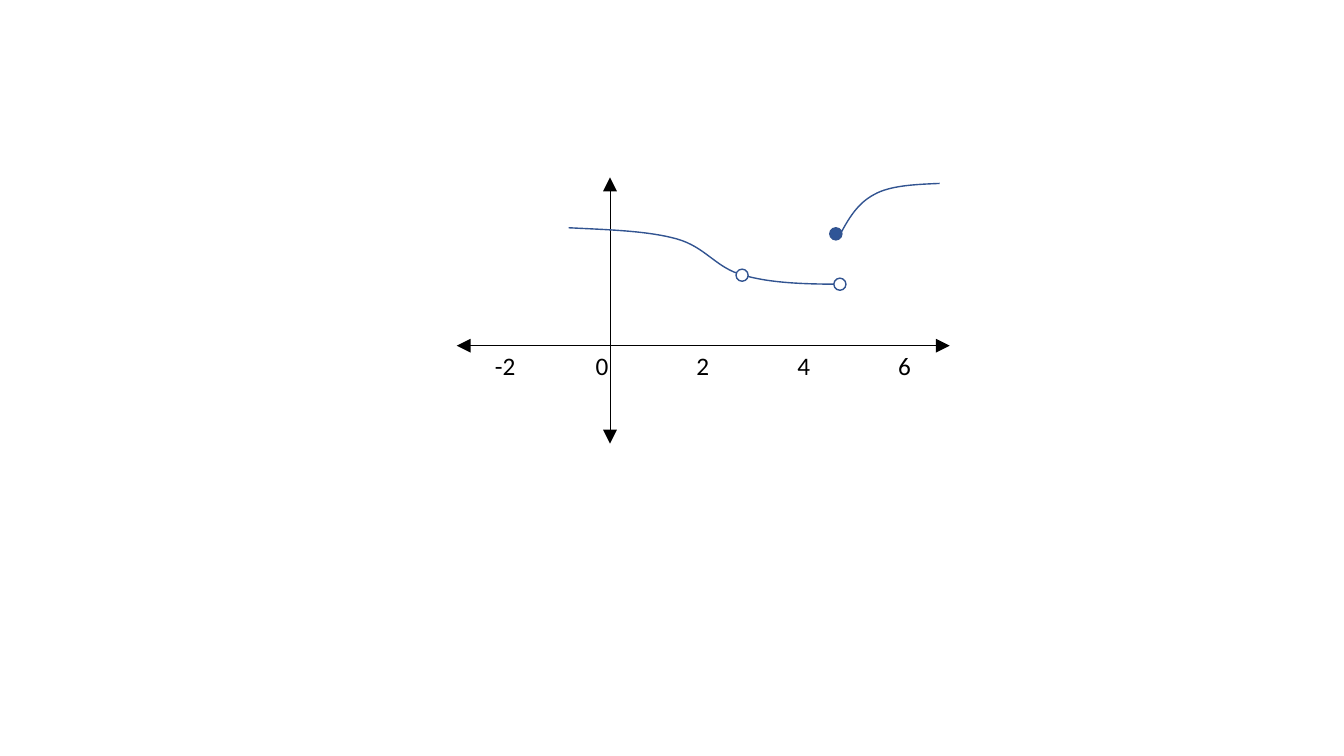
from lxml import etree
from pptx import Presentation
from pptx.dml.color import RGBColor
from pptx.enum.shapes import MSO_CONNECTOR, MSO_SHAPE
from pptx.enum.text import MSO_AUTO_SIZE
from pptx.oxml.ns import qn
from pptx.util import Inches, Pt

STRAIGHT = MSO_CONNECTOR.STRAIGHT
OVAL = MSO_SHAPE.OVAL
FIT_SHAPE = MSO_AUTO_SIZE.SHAPE_TO_FIT_TEXT
BLANK_LAYOUT = 6
DOT_SIZE = 0.12
BLACK, WHITE = "000000", "FFFFFF"
CURVE_BLUE, DOT_BLUE = "325491", "2F5597"


def color(hex_value):
    return RGBColor.from_string(hex_value)


def set_line(line, hex_value, width):
    line.color.rgb = color(hex_value)
    line.width = Pt(width)


def add_axis(slide, start, end):
    axis = slide.shapes.add_connector(
        STRAIGHT, *(Inches(value) for value in (*start, *end)))
    set_line(axis.line, BLACK, 0.5)
    outline = axis.line._get_or_add_ln()
    for tag in ("a:headEnd", "a:tailEnd"):
        etree.SubElement(outline, qn(tag), type="triangle", w="lg", len="lg")
    etree.SubElement(axis._element.spPr, qn("a:effectLst"))


def add_text(slide, text, *, left, top, width, height, size, font, hex_value,
             tab_stops=()):
    label = slide.shapes.add_textbox(
        Inches(left), Inches(top), Inches(width), Inches(height))
    frame = label.text_frame
    frame.word_wrap = True
    frame.auto_size = FIT_SHAPE
    paragraph = frame.paragraphs[0]
    if tab_stops:
        properties = paragraph._p.get_or_add_pPr()
        tabs = etree.SubElement(properties, qn("a:tabLst"))
        for stop in tab_stops:
            etree.SubElement(tabs, qn("a:tab"), pos=str(Inches(stop)), algn="l")
    run = paragraph.add_run()
    run.text = text
    run.font.size = Pt(size)
    run.font.name = font
    run.font.color.rgb = color(hex_value)


def bend_segments(curve):
    line_steps = list(curve._element.iter(qn("a:lnTo")))
    for first in range(0, len(line_steps), 3):
        bend = etree.Element(qn("a:cubicBezTo"))
        line_steps[first].addprevious(bend)
        for step in line_steps[first:first + 3]:
            bend.append(step[0])
            step.getparent().remove(step)


def add_curve(slide, start, *controls):
    builder = slide.shapes.build_freeform(*(Inches(value) for value in start))
    builder.add_line_segments(
        [(Inches(x), Inches(y)) for x, y in controls], close=False)
    curve = builder.convert_to_shape()
    bend_segments(curve)
    curve.fill.background()
    curve.shadow.inherit = False
    set_line(curve.line, CURVE_BLUE, 1)


def add_dot(slide, left, top, fill):
    dot = slide.shapes.add_shape(
        OVAL, Inches(left), Inches(top), Inches(DOT_SIZE), Inches(DOT_SIZE))
    dot.shadow.inherit = False
    dot.fill.solid()
    dot.fill.fore_color.rgb = color(fill)
    set_line(dot.line, CURVE_BLUE, 1)


def main():
    presentation = Presentation()
    presentation.slide_width = Inches(13.33)
    presentation.slide_height = Inches(7.5)
    slide = presentation.slides.add_slide(
        presentation.slide_layouts[BLANK_LAYOUT])

    add_axis(slide, (4.53, 3.43), (9.42, 3.43))
    add_axis(slide, (6.05, 1.76), (6.05, 4.4))
    ticks = [str(tick) for tick in range(-2, 7, 2)]
    add_text(slide, "\t".join(ticks),
             left=4.81, top=3.43, width=4.73, height=0.4,
             size=18, font="Calibri", hex_value=BLACK,
             tab_stops=range(1, len(ticks)))

    add_dot(slide, 8.23, 2.26, DOT_BLUE)
    add_curve(slide, (8.32, 2.35),
              (8.41, 2.18), (8.5, 2.02), (8.67, 1.93),
              (8.83, 1.84), (9.08, 1.83), (9.32, 1.82))
    add_curve(slide, (5.64, 2.26),
              (6.03, 2.28), (6.42, 2.29), (6.71, 2.37),
              (7, 2.45), (7.1, 2.66), (7.37, 2.73),
              (7.64, 2.81), (7.99, 2.82), (8.34, 2.82))
    add_dot(slide, 8.27, 2.76, WHITE)
    add_dot(slide, 7.3, 2.67, WHITE)

    presentation.save("out.pptx")


if __name__ == "__main__":
    main()
